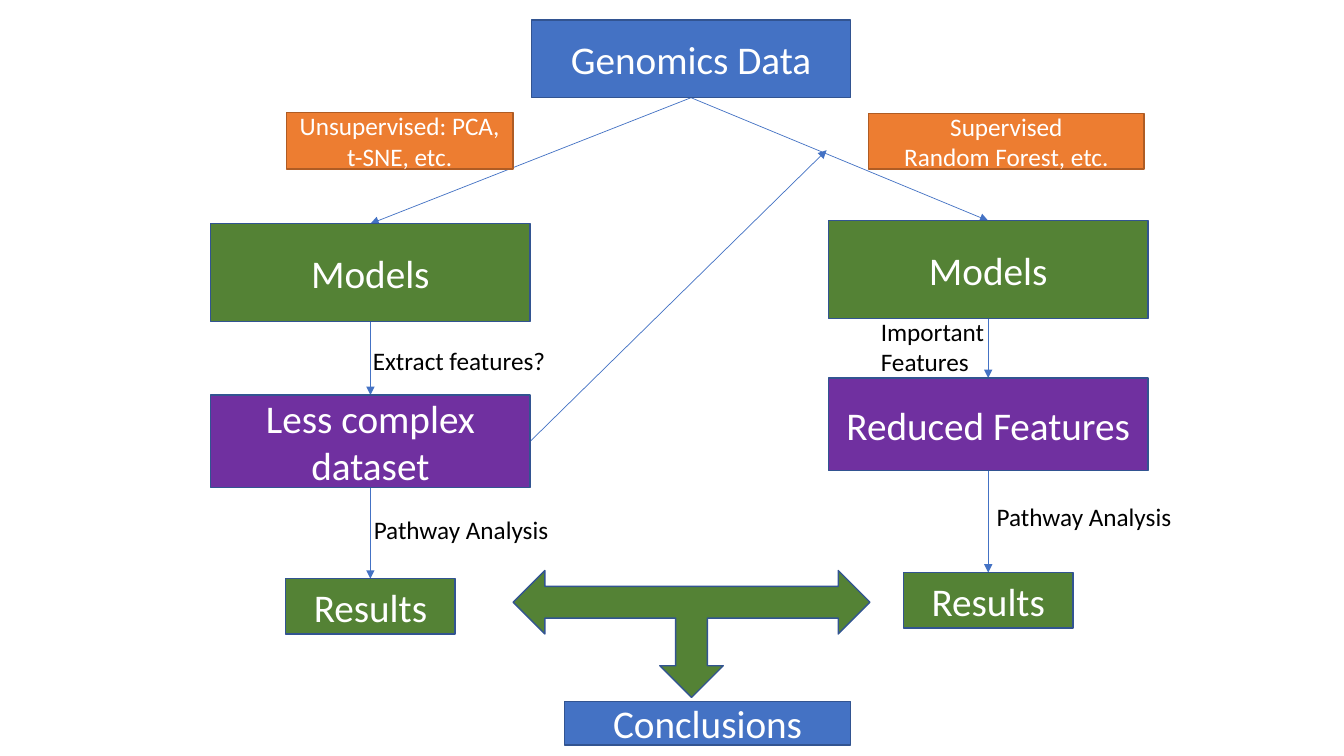
"""Build the genomics analysis flow chart slide."""
import pptx
import pptx.util
import pptx.dml.color
import pptx.enum.shapes
import pptx.enum.text
import pptx.oxml
import pptx.oxml.ns

Pt = pptx.util.Pt
RGB = pptx.dml.color.RGBColor
Kind = pptx.enum.shapes.MSO_SHAPE
Align = pptx.enum.text.PP_ALIGN
Anchor = pptx.enum.text.MSO_ANCHOR

BLUE = RGB(0x44, 0x72, 0xC4)
NAVY = RGB(0x32, 0x54, 0x91)
GREEN = RGB(0x54, 0x82, 0x35)
PURPLE = RGB(0x70, 0x30, 0xA0)
ORANGE = RGB(0xED, 0x7D, 0x31)
RUST = RGB(0xAF, 0x5C, 0x24)
WHITE = RGB(0xFF, 0xFF, 0xFF)
BLACK = RGB(0, 0, 0)
FONT = "Calibri"

LEFT, RIGHT, MID = 264.6, 705.9, 493.6
WIDE = 228.2

# name: (text, centre, top, width, height, fill, line, size)
BOXES = {
    "data": ("Genomics Data", MID, 14.4, WIDE, 55.4, BLUE, NAVY, 28),
    "unsup": ("Unsupervised: PCA, t-SNE, etc.", 285.5, 80.6, 162, 40.3, ORANGE, RUST, 18),
    "sup": ("Supervised\nRandom Forest, etc.", 718.9, 81, 196.6, 39.6, ORANGE, RUST, 18),
    "model_l": ("Models", LEFT, 159.8, WIDE, 69.8, GREEN, NAVY, 28),
    "model_r": ("Models", RIGHT, 157.7, WIDE, 69.8, GREEN, NAVY, 28),
    "less": ("Less complex dataset", LEFT, 282.2, WIDE, 66.2, PURPLE, NAVY, 28),
    "reduced": ("Reduced Features", RIGHT, 270, WIDE, 66.2, PURPLE, NAVY, 28),
    "result_l": ("Results", LEFT, 413.3, 121, 39.6, GREEN, NAVY, 28),
    "result_r": ("Results", RIGHT, 409, 121, 39.6, GREEN, NAVY, 28),
    "end": ("Conclusions", 505.5, 501.1, 204.5, 31, BLUE, NAVY, 28),
}
FLOWS = [
    ("data", "model_l"), ("data", "model_r"),
    ("model_l", "less"), ("model_r", "reduced"),
    ("less", "result_l"), ("reduced", "result_r"),
]
LOOP_END = (590.4, 107.3)
NOTES = [
    ("Important \nFeatures", 622.1, 222.5, 95.8, 51.1),
    ("Extract features?", 259.2, 243.4, 177.1, 28.8),
    ("Pathway Analysis", 704.9, 354.5, 177.1, 28.8),
    ("Pathway Analysis", 259.9, 363.6, 177.1, 28.8),
]
JOIN = (366.5, 407.5, 254.9, 90.7)


def write(frame, text, size, color, align):
    """Fill a frame with one paragraph, run by run."""
    frame.word_wrap = True
    para = frame.paragraphs[0]
    para.alignment = align
    for i, line in enumerate(text.split("\n")):
        if i:
            para.add_line_break()
        run = para.add_run()
        run.text = line
        run.font.name = FONT
        run.font.size = Pt(size)
        run.font.color.rgb = color


def block(kind, place, fill, edge):
    """Add a filled and outlined preset shape."""
    shape = slide.shapes.add_shape(kind, *map(Pt, place))
    shape.shadow.inherit = False
    shape.fill.solid()
    shape.fill.fore_color.rgb = fill
    shape.line.color.rgb = edge
    shape.line.width = Pt(1)
    return shape


def arrow(start, stop):
    """Add a thin straight arrow."""
    link = slide.shapes.add_connector(
        pptx.enum.shapes.MSO_CONNECTOR.STRAIGHT, *map(Pt, start + stop))
    link.line.color.rgb = BLUE
    link.line.width = Pt(0.5)
    tip = pptx.oxml.ns.qn("a:tailEnd")
    link.line._get_or_add_ln().makeelement(tip)
    head = link.line._get_or_add_ln()
    head.append(head.makeelement(tip, {"type": "triangle"}))
    props = link._element.spPr
    props.append(props.makeelement(pptx.oxml.ns.qn("a:effectLst")))


deck = pptx.Presentation()
deck.slide_width, deck.slide_height = Pt(960), Pt(540)
slide = deck.slides.add_slide(deck.slide_layouts[6])

for start, stop in FLOWS:
    _, x, top, _, high, *_ = BOXES[start]
    arrow((x, top + high), BOXES[stop][1:3])
_, x, top, wide, high, *_ = BOXES["less"]
arrow((x + wide / 2, top + high / 2), LOOP_END)

for text, x, top, wide, high, fill, edge, size in BOXES.values():
    box = block(Kind.RECTANGLE, (x - wide / 2, top, wide, high), fill, edge)
    box.text_frame.vertical_anchor = Anchor.MIDDLE
    write(box.text_frame, text, size, WHITE, Align.CENTER)

join = block(Kind.LEFT_RIGHT_UP_ARROW, JOIN, GREEN, NAVY)
join.rotation = 180

for text, *place in NOTES:
    note = slide.shapes.add_textbox(*map(Pt, place))
    write(note.text_frame, text, 18, BLACK, Align.LEFT)
    note.text_frame.auto_size = pptx.enum.text.MSO_AUTO_SIZE.SHAPE_TO_FIT_TEXT

deck.save("out.pptx")
